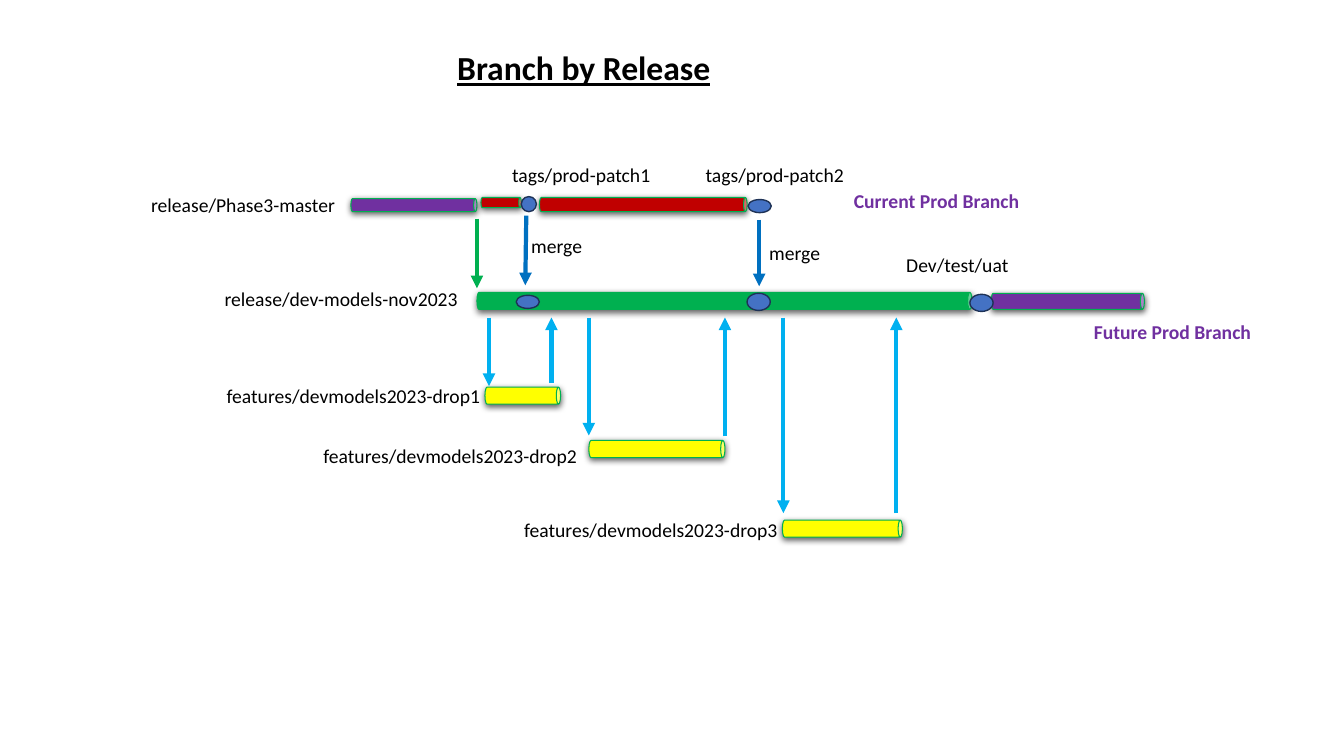
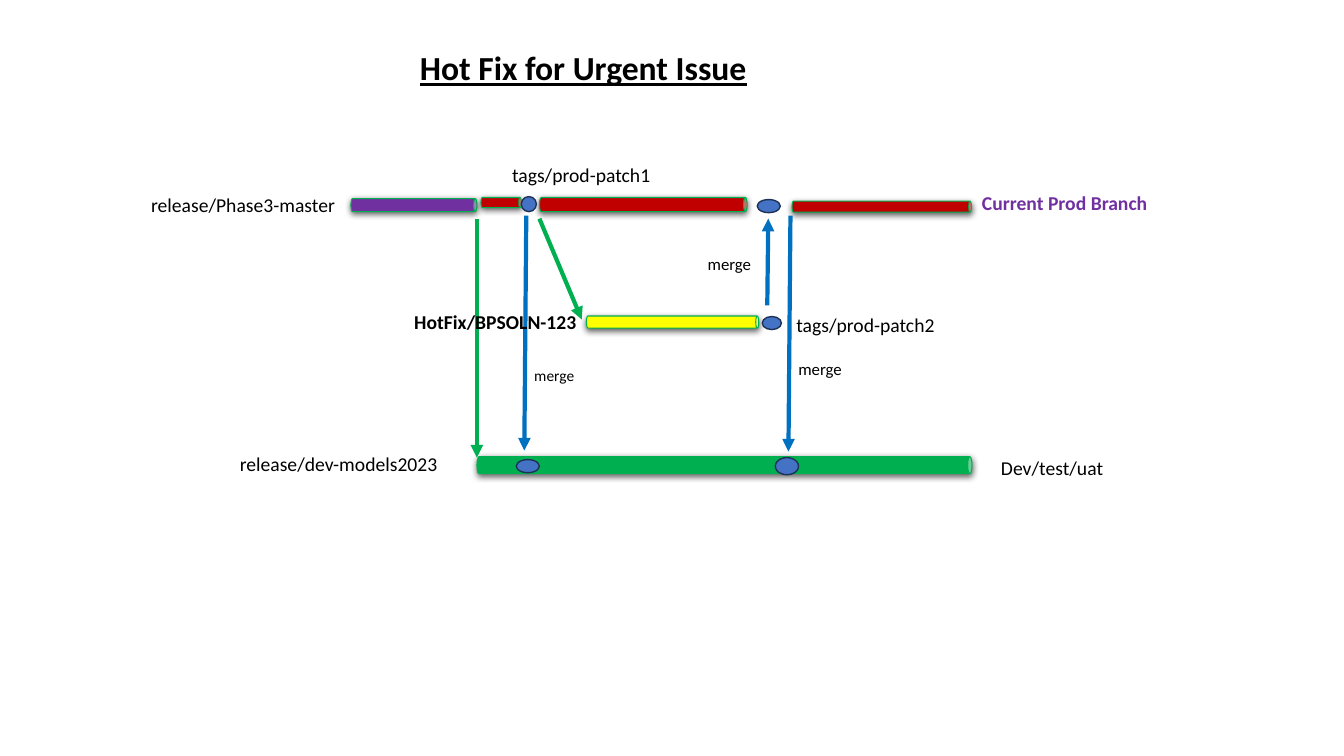
from lxml.etree import SubElement
from pptx import Presentation
from pptx.dml.color import RGBColor
from pptx.enum.shapes import MSO_CONNECTOR as CONN, MSO_SHAPE as SHAPE
from pptx.enum.text import MSO_ANCHOR, MSO_AUTO_SIZE as FIT, PP_ALIGN
from pptx.oxml.ns import qn
from pptx.util import Emu, Inches, Pt

COLORS = {
    "text": "000000",
    "prod": "7030A0",
    "patch": "C00000",
    "dev": "00B050",
    "feature": "FFFF00",
    "merge": "0070C0",
    "flow": "00B0F0",
    "dot": "4472C4",
    "dot_edge": "1E3256",
}
CELL = Inches(0.1)
TITLE_FORMAT = {"name": "Calibri", "size": Pt(24), "bold": True, "underline": True}
SHADOW = {"blurRad": Pt(4.5), "dist": Pt(1.5), "dir": 90 * 60000,
          "algn": "ctr", "rotWithShape": 0}


def grid(*cells):
    return [Emu(round(c * CELL)) for c in cells]


def rgb(name):
    return RGBColor.from_string(COLORS[name])


class BranchDeck:
    def __init__(self):
        self.prs = Presentation()
        self.prs.slide_width = Inches(13.33)
        self.prs.slide_height = Inches(7.5)
        self.slide = None

    def set_text(self, sp, text, color, fmt, wrap=False, align=PP_ALIGN.LEFT):
        tf = sp.text_frame
        frame = {"word_wrap": wrap, "auto_size": FIT.SHAPE_TO_FIT_TEXT,
                 "vertical_anchor": MSO_ANCHOR.TOP}
        for name, value in frame.items():
            setattr(tf, name, value)
        p = tf.paragraphs[0]
        p.alignment = align
        r = p.add_run()
        r.text = text
        for name, value in fmt.items():
            setattr(r.font, name, value)
        r.font.color.rgb = rgb(color)

    def new_slide(self, title, x, width):
        self.slide = self.prs.slides.add_slide(self.prs.slide_layouts[5])
        sp = self.slide.shapes.title
        sp.left, sp.top, sp.width, sp.height = grid(x, 4.2, width, 5)
        self.set_text(sp, title, "text", TITLE_FORMAT, align=PP_ALIGN.CENTER)

    def label(self, text, x, y, width, size=14, color="text", bold=False, wrap=False):
        height = 1 + size * 1.2 / 7.2
        sp = self.slide.shapes.add_textbox(*grid(x, y, width, height))
        fmt = {"name": "Calibri", "size": Pt(size), "bold": bold}
        self.set_text(sp, text, color, fmt, wrap)

    def shape(self, kind, cx, cy, width, height, fill, edge, weight):
        box = grid(cx - width / 2, cy - height / 2, width, height)
        sp = self.slide.shapes.add_shape(kind, *box)
        sp.shadow.inherit = False
        sp.fill.solid()
        sp.fill.fore_color.rgb = rgb(fill)
        sp.line.color.rgb = rgb(edge)
        sp.line.width = Pt(weight)
        return sp

    def branch(self, x, y, length, thick, color):
        sp = self.shape(SHAPE.CAN, x + length / 2, y, thick, length, color, "dev", 0.75)
        sp.rotation = 90
        effects = sp._element.spPr.find(qn("a:effectLst"))
        attrs = {k: str(v) for k, v in SHADOW.items()}
        shadow = SubElement(effects, qn("a:outerShdw"), attrs)
        black = SubElement(shadow, qn("a:srgbClr"), val=COLORS["text"])
        SubElement(black, qn("a:alpha"), val="63000")

    def dot(self, cx, cy, width=2.3, height=1.3):
        self.shape(SHAPE.OVAL, cx, cy, width, height, "dot", "dot_edge", 1)

    def arrow(self, x1, y1, x2, y2, color):
        ends = grid(x1, y1, x2, y2)
        cn = self.slide.shapes.add_connector(CONN.STRAIGHT, *ends)
        cn.line.color.rgb = rgb(color)
        cn.line.width = Pt(3)
        SubElement(cn.line._get_or_add_ln(), qn("a:tailEnd"), type="triangle")
        SubElement(cn._element.spPr, qn("a:effectLst"))

    def release_lines(self, dev_y, dev_name, dev_x, dev_width, second_merge_x):
        self.branch(34.8, 20.35, 12.5, 1.3, "prod")
        self.branch(47.7, 20.1, 4, 1, "patch")
        self.branch(53.5, 20.3, 20.6, 1.4, "patch")
        self.branch(47.3, dev_y, 49.1, 1.7, "dev")
        self.dot(52.45, 20.25, 1.5, 1.5)
        self.dot(52.35, dev_y + 0.1)
        self.dot(second_merge_x, dev_y + 0.1, height=1.7)
        self.label("release/Phase3-master", 14, 18.6, 20.5)
        self.label("tags/prod-patch1", 49.8, 15.7, 15.9)
        self.label(dev_name, dev_x, dev_y - 1.85, dev_width)

    def branch_by_release(self):
        self.new_slide("Branch by Release", 44.2, 27.4)
        self.release_lines(29.85, "release/dev-models-nov2023", 21.3, 25.4, 75.25)
        self.branch(98.3, 29.9, 15.2, 1.6, "prod")
        self.dot(75.35, 20.45)
        self.dot(97.35, 30.05, height=1.7)
        self.arrow(47.3, 21.7, 47.3, 28.6, "dev")
        self.arrow(52.2, 21.4, 52.1, 28.3, "merge")
        self.arrow(75.3, 21.8, 75.3, 28.4, "merge")
        drops = [
            (48.1, 39.25, 7.5, 48.5, 38.3, 54.7, 38, 21.5, 37.6),
            (58.4, 44.55, 13.5, 58.4, 43.2, 71.9, 43.3, 31.1, 43.5),
            (77.6, 52.45, 11.9, 77.7, 50.9, 88.9, 50.9, 51, 50.9),
        ]
        for n, drop in enumerate(drops, 1):
            x, y, length, out_x, out_end, back_x, back_start, text_x, text_y = drop
            self.branch(x, y, length, 1.7, "feature")
            self.arrow(out_x, 31.5, out_x, out_end, "flow")
            self.arrow(back_x, back_start, back_x, 31.5, "flow")
            self.label(f"features/devmodels2023-drop{n}", text_x, text_y, 27.4)
        self.label("merge", 51.7, 22.7, 7.1)
        self.label("merge", 75.3, 23.4, 7.1)
        self.label("tags/prod-patch2", 69, 15.7, 15.9)
        self.label("Dev/test/uat", 88.9, 24.6, 12.3)
        self.label("Current Prod Branch", 83.7, 18.2, 23.8, color="prod", bold=True, wrap=True)
        self.label("Future Prod Branch", 107.5, 31.2, 17.7, color="prod", bold=True)

    def hot_fix(self):
        self.new_slide("Hot Fix for Urgent Issue", 40.5, 34.7)
        self.release_lines(46.15, "release/dev-models2023", 22.8, 21.9, 78.05)
        self.branch(78.55, 20.5, 17.8, 1.1, "patch")
        self.branch(58.15, 31.95, 17.1, 1.2, "feature")
        self.dot(76.25, 20.45)
        self.dot(76.55, 32.05, width=1.9)
        self.arrow(47.3, 21.7, 47.3, 45.4, "dev")
        self.arrow(53.5, 21.7, 57.7, 31.7, "dev")
        self.arrow(52.2, 21.4, 52, 44.7, "merge")
        self.arrow(76.1, 30.3, 76.2, 21.7, "merge")
        self.arrow(78.4, 21.4, 78.2, 44.8, "merge")
        self.label("merge", 52, 35.8, 6.1, size=11)
        self.label("merge", 69.2, 24.7, 6.4, size=12)
        self.label("merge", 78.2, 35.1, 6.4, size=12)
        self.label("tags/prod-patch2", 78, 30.5, 15.9)
        self.label("Dev/test/uat", 98.3, 44.7, 12.3)
        self.label("HotFix/BPSOLN-123", 40.1, 30.3, 18.3, bold=True)
        self.label("Current Prod Branch", 96.4, 18.4, 23.8, color="prod", bold=True, wrap=True)


def main():
    deck = BranchDeck()
    deck.branch_by_release()
    deck.hot_fix()
    deck.prs.save("out.pptx")


if __name__ == "__main__":
    main()
